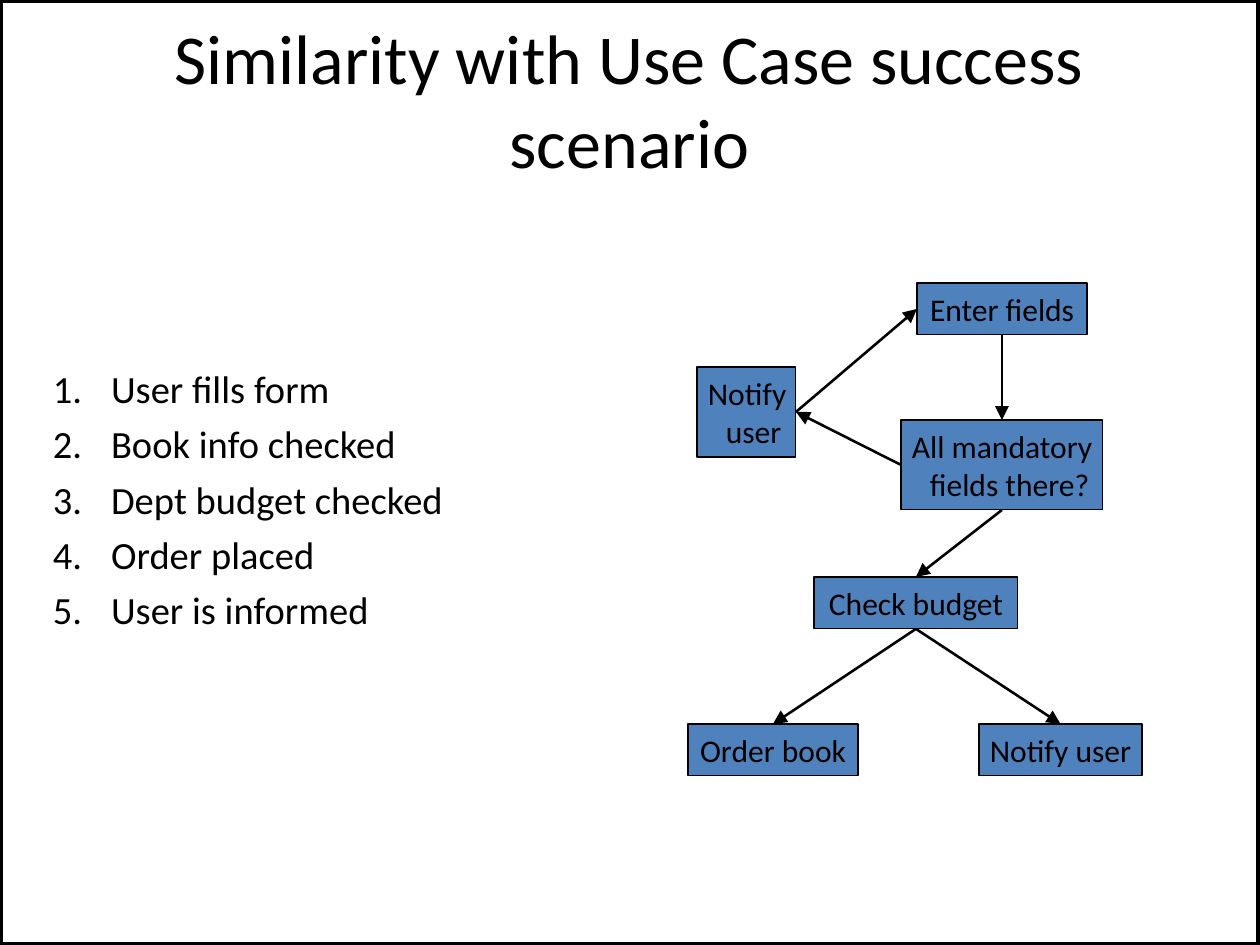
from dataclasses import dataclass

from lxml import etree
from pptx import Presentation
from pptx.dml.color import RGBColor
from pptx.enum.shapes import MSO_CONNECTOR, MSO_SHAPE
from pptx.enum.text import MSO_ANCHOR, MSO_AUTO_SIZE, PP_ALIGN
from pptx.oxml.ns import qn
from pptx.util import Emu, Pt

RECTANGLE = MSO_SHAPE.RECTANGLE
STRAIGHT = MSO_CONNECTOR.STRAIGHT
TOP_ANCHOR, MIDDLE_ANCHOR = MSO_ANCHOR.TOP, MSO_ANCHOR.MIDDLE
LEFT_ALIGN, CENTER_ALIGN = PP_ALIGN.LEFT, PP_ALIGN.CENTER
NO_AUTOFIT = MSO_AUTO_SIZE.NONE

EMU_PER_PX = 914400 / 252
SLIDE_WIDTH, SLIDE_HEIGHT = 1260, 945
TITLE_ONLY = 5
TOP, LEFT, BOTTOM, RIGHT = range(4)

STEPS = [
    "User fills form",
    "Book info checked",
    "Dept budget checked",
    "Order placed",
    "User is informed",
]

ONE_LINE, TWO_LINES = 52, 90
BOXES = {
    "enter": ("Enter fields", 917, 283, 170, ONE_LINE),
    "mandatory": ("All mandatory fields there?", 901, 420, 202, TWO_LINES),
    "budget": ("Check budget", 814, 577, 204, ONE_LINE),
    "order": ("Order book", 688, 724, 170, ONE_LINE),
    "retry": ("Notify user", 697, 367, 99, TWO_LINES),
    "notify": ("Notify user", 979, 724, 163, ONE_LINE),
}
ARROWS = [
    ("enter", BOTTOM, "mandatory", TOP),
    ("mandatory", LEFT, "retry", RIGHT),
    ("retry", RIGHT, "enter", LEFT),
    ("mandatory", BOTTOM, "budget", TOP),
    ("budget", BOTTOM, "order", TOP),
    ("budget", BOTTOM, "notify", TOP),
]


@dataclass(frozen=True)
class Theme:
    """Colours, font and sizes of the slide."""
    ink: RGBColor = RGBColor(0x00, 0x00, 0x00)
    box: RGBColor = RGBColor(0x4F, 0x81, 0xBC)
    font: str = "Calibri"
    title_size: Pt = Pt(20)
    list_size: Pt = Pt(11)
    box_size: Pt = Pt(9)
    box_line: Pt = Pt(0.37)
    arrow_line: Pt = Pt(0.75)
    frame_line: Pt = Pt(1.92)


THEME = Theme()


def px(length):
    """Turn pixels into EMU."""
    return Emu(round(length * EMU_PER_PX))


def set_up_frame(text_frame, anchor, side=0, top=0):
    """Set the wrapping, anchor and insets of a text frame."""
    text_frame.word_wrap = True
    text_frame.auto_size = NO_AUTOFIT
    text_frame.vertical_anchor = anchor
    text_frame.margin_left = text_frame.margin_right = px(side)
    text_frame.margin_top, text_frame.margin_bottom = px(top), 0


def format_paragraph(paragraph, size, alignment):
    """Set the alignment of a paragraph and the font of its runs."""
    paragraph.alignment = alignment
    for run in paragraph.runs:
        run.font.name = THEME.font
        run.font.size = size
        run.font.color.rgb = THEME.ink


def set_hanging(paragraph, margin, indent):
    """Give a paragraph a left margin and a first-line indent."""
    properties = paragraph._p.get_or_add_pPr()
    properties.set("marL", str(px(margin)))
    properties.set("indent", str(px(indent)))
    return properties


def add_title(slide, text):
    """Fill and place the title placeholder."""
    title = slide.shapes.title
    title.left, title.top, title.width, title.height = map(px, (56, 8, 1147, 176))
    title.text_frame.text = text
    set_up_frame(title.text_frame, TOP_ANCHOR, side=60, top=6)
    format_paragraph(title.text_frame.paragraphs[0], THEME.title_size, CENTER_ALIGN)


def add_numbered_list(slide, items):
    """Add the numbered steps of the scenario."""
    text_box = slide.shapes.add_textbox(*map(px, (50, 350, 396, 285)))
    text_frame = text_box.text_frame
    text_frame.text = "\n".join(items)
    set_up_frame(text_frame, TOP_ANCHOR, top=15)
    for index, paragraph in enumerate(text_frame.paragraphs):
        properties = set_hanging(paragraph, 61, -58)
        etree.SubElement(properties, qn("a:buAutoNum"), type="arabicPeriod")
        paragraph.space_before = Pt(2.6 if index else 0)
        format_paragraph(paragraph, THEME.list_size, LEFT_ALIGN)


def add_rectangle(slide, left, top, width, height, line_width):
    """Add a plain outlined rectangle."""
    shape = slide.shapes.add_shape(RECTANGLE, *map(px, (left, top, width, height)))
    shape.shadow.inherit = False
    shape.fill.background()
    shape.line.color.rgb = THEME.ink
    shape.line.width = line_width
    return shape


def add_box(slide, text, left, top, width, height):
    """Add a flow box, with a hanging second line when it is tall."""
    shape = add_rectangle(slide, left, top, width, height, THEME.box_line)
    shape.fill.solid()
    shape.fill.fore_color.rgb = THEME.box
    shape.text_frame.text = text
    set_up_frame(shape.text_frame, MIDDLE_ANCHOR)
    paragraph = shape.text_frame.paragraphs[0]
    if height == TWO_LINES:
        set_hanging(paragraph, 29, -18)
        format_paragraph(paragraph, THEME.box_size, LEFT_ALIGN)
    else:
        format_paragraph(paragraph, THEME.box_size, CENTER_ALIGN)
    return shape


def add_arrow(slide, source, source_site, target, target_site):
    """Connect two boxes with an arrow."""
    connector = slide.shapes.add_connector(STRAIGHT, 0, 0, 0, 0)
    connector.begin_connect(source, source_site)
    connector.end_connect(target, target_site)
    connector.line.color.rgb = THEME.ink
    connector.line.width = THEME.arrow_line
    line = connector.line._get_or_add_ln()
    etree.SubElement(line, qn("a:tailEnd"), type="triangle", w="sm", len="sm")
    etree.SubElement(connector._element.spPr, qn("a:effectLst"))


def main():
    """Build and save the slide."""
    presentation = Presentation()
    presentation.slide_width = px(SLIDE_WIDTH)
    presentation.slide_height = px(SLIDE_HEIGHT)
    slide = presentation.slides.add_slide(presentation.slide_layouts[TITLE_ONLY])
    add_title(slide, "Similarity with Use Case success scenario")
    add_numbered_list(slide, STEPS)
    boxes = {name: add_box(slide, *values) for name, values in BOXES.items()}
    for source, source_site, target, target_site in ARROWS:
        add_arrow(slide, boxes[source], source_site, boxes[target], target_site)
    add_rectangle(slide, 0, 0, SLIDE_WIDTH, SLIDE_HEIGHT, THEME.frame_line)
    presentation.save("out.pptx")


if __name__ == "__main__":
    main()
